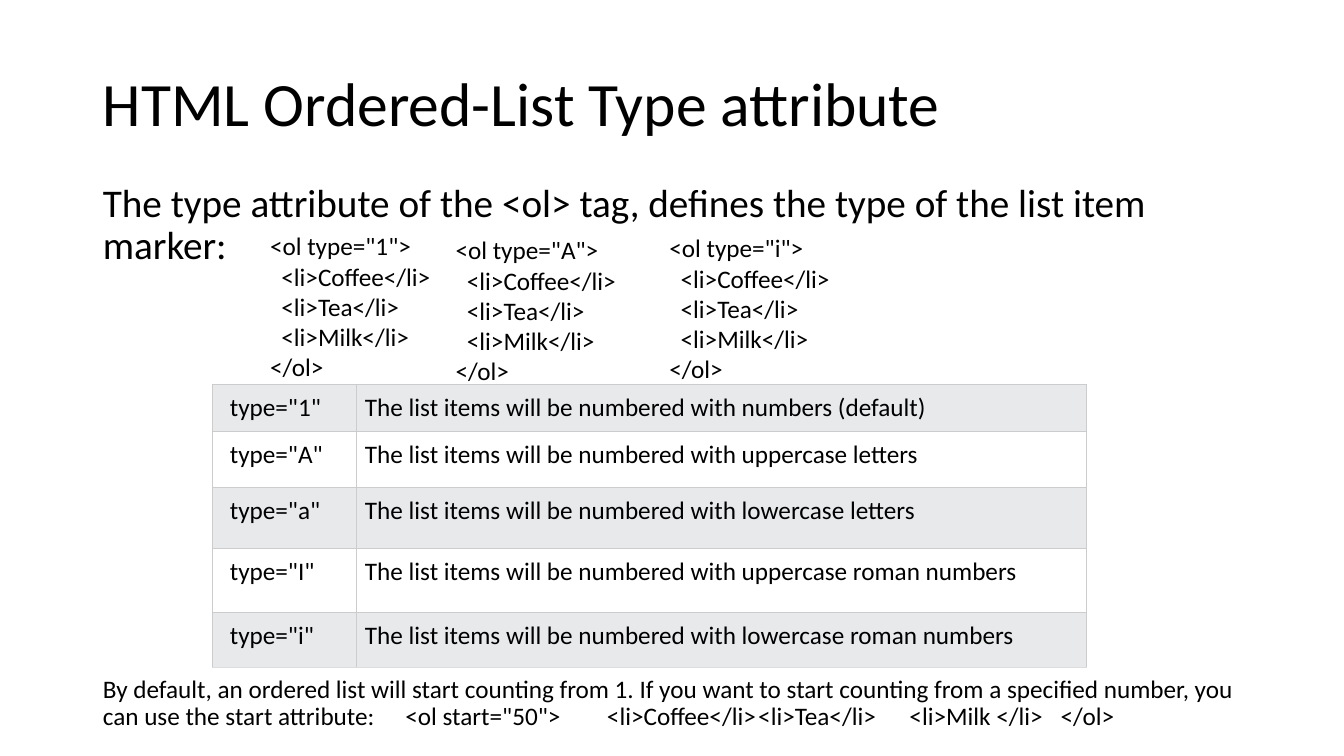
from dataclasses import dataclass

from lxml.etree import SubElement
from pptx import Presentation
from pptx.dml.color import RGBColor
from pptx.enum.text import MSO_ANCHOR, MSO_AUTO_SIZE, PP_ALIGN
from pptx.oxml.ns import qn
from pptx.util import Inches, Pt


@dataclass(frozen=True)
class Theme:
    font: str = "Calibri"
    ink: str = "000000"
    band: str = "E7E9EB"
    plain: str = "FFFFFF"
    rule: str = "CCCCCC"
    base: str = "DDDDDD"
    title: int = 44
    lead: int = 28
    text: int = 18


@dataclass(frozen=True)
class Sample:
    kind: str
    left: float
    top: float
    width: float


@dataclass(frozen=True)
class Row:
    kind: str
    style: str
    height: float


THEME = Theme()
SAMPLES = [
    Sample("1", 2.58, 2.24, 2.44),
    Sample("A", 4.42, 2.28, 2.44),
    Sample("i", 6.54, 2.26, 3.03),
]
ROWS = [
    Row("1", "numbers (default)", 0.47),
    Row("A", "uppercase letters", 0.56),
    Row("a", "lowercase letters", 0.6),
    Row("I", "uppercase roman numbers", 0.64),
    Row("i", "lowercase roman numbers", 0.54),
]
TITLE = "HTML Ordered-List Type attribute"
LEAD = "The type attribute of the <ol> tag, defines the type of the list item marker:"
NOTE = (
    "By default, an ordered list will start counting from 1. If you want to start "
    "counting from a specified number, you can use the start attribute:"
    '\t<ol start="50">\t<li>Coffee</li>\t<li>Tea</li>\t<li>Milk </li>\t</ol>'
)
STOPS = [2.82, 4.69, 6.34, 7.73, 9.29]


def style(para, size: int) -> None:
    para.alignment = PP_ALIGN.LEFT
    for run in para.runs:
        run.font.name = THEME.font
        run.font.size = Pt(size)
        run.font.color.rgb = RGBColor.from_string(THEME.ink)


def place(shape, left: float, top: float, width: float, height: float) -> None:
    shape.left, shape.top = Inches(left), Inches(top)
    shape.width, shape.height = Inches(width), Inches(height)


def add_title(slide) -> None:
    title = slide.shapes.title
    place(title, 0.92, 0.4, 11.5, 1.32)
    frame = title.text_frame
    frame.text = TITLE
    frame.auto_size = MSO_AUTO_SIZE.NONE
    frame.vertical_anchor = MSO_ANCHOR.MIDDLE
    frame.paragraphs[0].line_spacing = 0.9
    style(frame.paragraphs[0], THEME.title)


def add_body(slide) -> None:
    """Fill the body with the lead and, below the table, the closing note."""
    body = slide.placeholders[1]
    place(body, 0.92, 1.77, 11.5, 5.6)
    frame = body.text_frame
    frame.auto_size = MSO_AUTO_SIZE.NONE
    frame.vertical_anchor = MSO_ANCHOR.TOP
    lead, note = frame.paragraphs[0], frame.add_paragraph()
    for para, text, size, gap in (
        (lead, LEAD, THEME.lead, 0),
        (note, NOTE, THEME.text, 292),
    ):
        para.text = text
        para.line_spacing = 0.9
        para.space_before = Pt(gap)
        props = para._p.get_or_add_pPr()
        props.set("marL", "0")
        props.set("indent", "0")
        SubElement(props, qn("a:buNone"))
        style(para, size)
    tabs = SubElement(note._p.get_or_add_pPr(), qn("a:tabLst"))
    for stop in STOPS:
        SubElement(tabs, qn("a:tab"), pos=str(Inches(stop)), algn="l")


def add_edges(cell, base: str) -> None:
    """Draw the four cell borders, the lower one in the base colour."""
    props = cell._tc.get_or_add_tcPr()
    edges = {"lnL": THEME.rule, "lnR": THEME.rule, "lnT": THEME.rule, "lnB": base}
    for spot, (tag, color) in enumerate(edges.items()):
        line = SubElement(props, qn(f"a:{tag}"), w=str(Pt(0.75)))
        fill = SubElement(line, qn("a:solidFill"))
        SubElement(fill, qn("a:srgbClr"), val=color)
        props.insert(spot, line)


def add_grid(slide) -> None:
    height = sum(row.height for row in ROWS)
    table = slide.shapes.add_table(
        len(ROWS), 2, Inches(2.11), Inches(3.81), Inches(8.67), Inches(height)
    ).table
    table.first_row = table.horz_banding = False
    table.columns[0].width = Inches(1.43)
    table.columns[1].width = Inches(7.24)
    for i, row in enumerate(ROWS):
        table.rows[i].height = Inches(row.height)
        texts = (f'type="{row.kind}"', f"The list items will be numbered with {row.style}")
        for j, text in enumerate(texts):
            cell = table.cell(i, j)
            cell.text_frame.text = text
            cell.margin_left = Inches(0.08 if j else 0.17)
            cell.margin_right = cell.margin_top = cell.margin_bottom = Inches(0.08)
            cell.fill.solid()
            shade = THEME.plain if i % 2 else THEME.band
            cell.fill.fore_color.rgb = RGBColor.from_string(shade)
            add_edges(cell, THEME.base if row is ROWS[-1] else THEME.rule)
            style(cell.text_frame.paragraphs[0], THEME.text)


def add_sample(slide, item: Sample) -> None:
    box = slide.shapes.add_textbox(
        Inches(item.left), Inches(item.top), Inches(item.width), Inches(1.62)
    )
    box.text_frame.word_wrap = True
    para = box.text_frame.paragraphs[0]
    goods = [f"  <li>{name}</li>" for name in ("Coffee", "Tea", "Milk")]
    para.text = "\n".join([f'<ol type="{item.kind}">', *goods, "</ol>"])
    style(para, THEME.text)


def main() -> None:
    deck = Presentation()
    deck.slide_width, deck.slide_height = Inches(13.33), Inches(7.5)
    slide = deck.slides.add_slide(deck.slide_layouts[1])
    add_title(slide)
    add_body(slide)
    add_grid(slide)
    for item in SAMPLES:
        add_sample(slide, item)
    deck.save("out.pptx")


if __name__ == "__main__":
    main()
